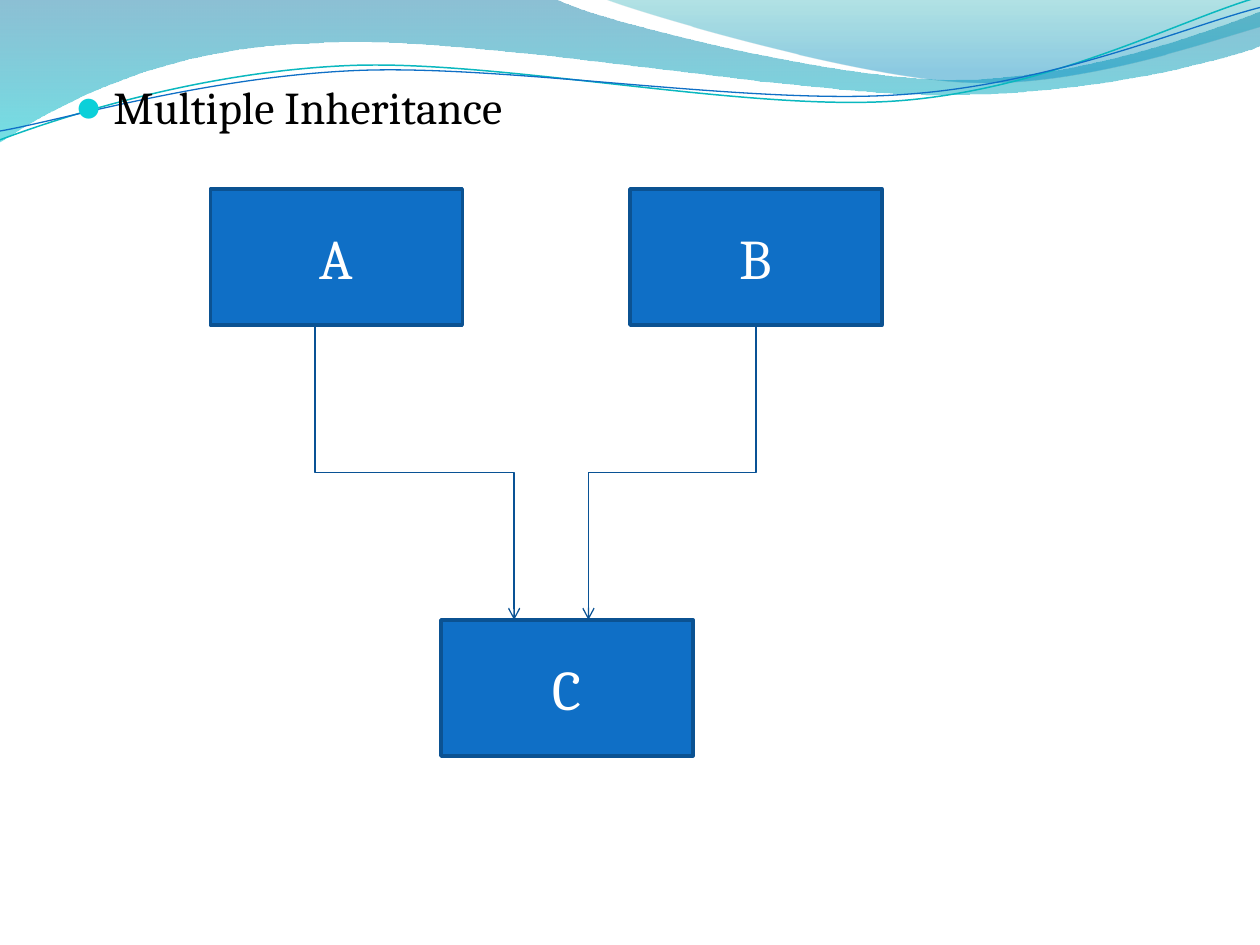
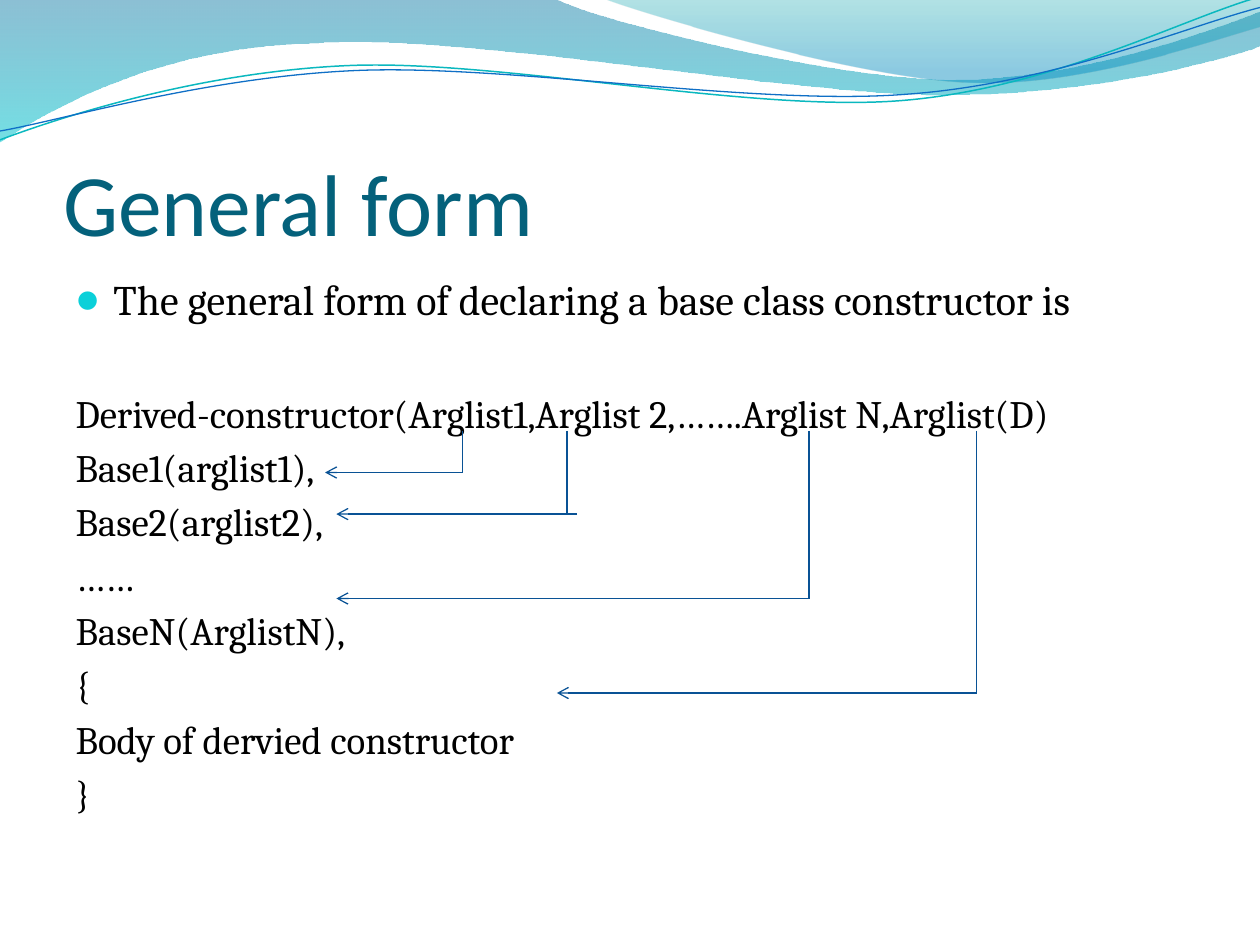
from math import cos, radians, sin

from lxml import etree
from pptx import Presentation
from pptx.dml.color import RGBColor
from pptx.enum.shapes import MSO_CONNECTOR, MSO_SHAPE
from pptx.enum.text import MSO_ANCHOR, MSO_AUTO_SIZE, PP_ALIGN
from pptx.oxml.ns import qn
from pptx.util import Inches, Pt

STRAIGHT, ELBOW = MSO_CONNECTOR.STRAIGHT, MSO_CONNECTOR.ELBOW
RECTANGLE = MSO_SHAPE.RECTANGLE
MIDDLE, BOTTOM = MSO_ANCHOR.MIDDLE, MSO_ANCHOR.BOTTOM
LEFT, CENTER = PP_ALIGN.LEFT, PP_ALIGN.CENTER
NO_AUTOFIT = MSO_AUTO_SIZE.NONE

COLORS = {
    "text": "000000", "title": "04617B", "bullet": "0BD0D9", "white": "FFFFFF",
    "box": "0F6FC6", "box_edge": "0B5292", "arrow": "095295",
    "teal_line": "0AB8BF", "blue_line": "0F6FC6",
    "deep_blue": "0074A1", "cyan": "00C6CF", "teal": "00A1A9", "sky": "008BBF",
}
TITLE_FONT, BODY_FONT = "Calibri", "Cambria"
BOX_W, BOX_H = 2, 1.08
INDENT = 0.3
STEM_TOP = 3.42
CURVE_TILT = 2.7

# Outlines in inches: a pair is a straight segment, six numbers a Bezier curve.
LEFT_WAVE = [
    (0, 0), (4.4, -0.01),
    (4.76, 0.17, 6.64, 0.63, 7.58, 0.63), (8.53, 0.63, 9.58, 0.26, 10, 0.09),
    (10.01, 0.36),
    (9.83, 0.44, 8.7, 0.76, 7.46, 0.75), (6.22, 0.75, 3.82, 0.28, 2.57, 0.34),
    (1.29, 0.36, 0.46, 0.83, -0.01, 1.13), (0, 0),
]
RIGHT_WAVE = [
    (4.79, -0.01),
    (5.09, 0.11, 6.82, 0.62, 7.69, 0.65), (8.56, 0.69, 9.61, 0.32, 10, 0.21),
    (10, 0), (4.79, -0.01),
]
TEAL_CURVE = [
    (0, 1.11),
    (0.48, 0.93, 1.58, 0.57, 2.77, 0.52), (3.95, 0.47, 5.93, 0.89, 7.13, 0.8),
    (8.33, 0.71, 9.38, 0.15, 9.98, -0.02),
]
BLUE_CURVE = [
    (0, 1.04),
    (0.47, 0.96, 1.64, 0.61, 2.83, 0.56), (4.03, 0.51, 5.97, 0.84, 7.17, 0.75),
    (8.36, 0.67, 9.41, 0.21, 10, 0.06),
]

CONSTRUCTOR_LINES = [
    "Derived-constructor(Arglist1,Arglist 2,…….Arglist N,Arglist(D)",
    "Base1(arglist1),",
    "Base2(arglist2),",
    "……",
    "BaseN(ArglistN),",
    "{",
    "Body of dervied constructor",
    "}",
]
# Stem x, arrow start x, arrow tip x, arrow y
ARGUMENT_POINTERS = [
    (3.67, 3.67, 2.58, 3.75),
    (4.5, 4.58, 2.67, 4.08),
    (6.42, 6.42, 2.67, 4.75),
    (7.75, 7.75, 4.42, 5.5),
]


def rgb(name):
    return RGBColor.from_string(COLORS[name])


def apply_format(target, **values):
    for attribute, value in values.items():
        setattr(target, attribute, value)


def place(shape, left, top, width, height):
    apply_format(shape, left=Inches(left), top=Inches(top),
                 width=Inches(width), height=Inches(height))


def add_run(paragraph, text, size, color, font=BODY_FONT):
    run = paragraph.add_run()
    run.text = text
    apply_format(run.font, name=font, size=Pt(size), bold=False)
    run.font.color.rgb = rgb(color)


def turn_segment(segment, pivot, degrees):
    """Turn every point of a segment clockwise about the pivot."""
    angle = radians(degrees)
    turned = []
    for x, y in zip(segment[::2], segment[1::2]):
        dx, dy = x - pivot[0], y - pivot[1]
        turned += [pivot[0] + dx * cos(angle) - dy * sin(angle),
                   pivot[1] + dx * sin(angle) + dy * cos(angle)]
    return turned


def add_outline(slide, segments, close):
    """Lay all points as straight segments, then join triples into Beziers."""
    start, *rest = segments
    points = [(Inches(x), Inches(y)) for segment in rest
              for x, y in zip(segment[::2], segment[1::2])]
    builder = slide.shapes.build_freeform(*map(Inches, start))
    builder.add_line_segments(points, close=close)
    outline = builder.convert_to_shape()
    outline.shadow.inherit = False
    steps = iter(list(outline._element.iter(qn("a:lnTo"))))
    for segment in rest:
        first = next(steps)
        if len(segment) == 6:
            first.tag = qn("a:cubicBezTo")
            for step in (next(steps), next(steps)):
                first.append(step[0])
                step.getparent().remove(step)
    return outline


def add_wave(slide, segments, stops):
    """stops: (position, colour, opacity percent), top to bottom."""
    wave = add_outline(slide, segments, close=True)
    wave.line.fill.background()
    wave.fill.gradient()
    wave.fill.gradient_angle = 270
    for gradient_stop, (position, color, _) in zip(wave.fill.gradient_stops, stops):
        gradient_stop.position = position
        gradient_stop.color.rgb = rgb(color)
    stop_colors = list(wave._element.spPr.iter(qn("a:srgbClr")))
    for stop_color, (_, _, opacity) in zip(stop_colors, stops):
        etree.SubElement(stop_color, qn("a:alpha"), val=str(opacity * 1000))
    return wave


def add_curve(slide, segments, pivot, color, width):
    level = [turn_segment(segment, pivot, CURVE_TILT) for segment in segments]
    curve = add_outline(slide, level, close=False)
    curve.rotation = 360 - CURVE_TILT
    curve.fill.background()
    curve.line.color.rgb = rgb(color)
    curve.line.width = Pt(width)
    return curve


def decorate_master(master, slide):
    """Draw the band on a slide, then move it behind the master's placeholders."""
    band = [
        add_wave(slide, LEFT_WAVE, [(0, "deep_blue", 45), (1, "cyan", 55)]),
        add_wave(slide, RIGHT_WAVE, [(0, "teal", 30), (0.8, "sky", 45)]),
        add_curve(slide, TEAL_CURVE, (4.99, 0.58), "teal_line", 0.85),
        add_curve(slide, BLUE_CURVE, (5, 0.59), "blue_line", 0.75),
    ]
    first_placeholder = master.shapes[0]._element
    for part in band:
        first_placeholder.addprevious(part._element)


def set_title(slide, text):
    title = slide.shapes.title
    place(title, 0.5, 0.77, 9, 1.25)
    frame = title.text_frame
    apply_format(frame, margin_left=0, margin_right=0, margin_top=Inches(0.05),
                 margin_bottom=0, vertical_anchor=BOTTOM, auto_size=NO_AUTOFIT)
    frame.paragraphs[0].alignment = LEFT
    add_run(frame.paragraphs[0], text, 50, "title", TITLE_FONT)


def set_indent(paragraph, bulleted):
    properties = paragraph._p.get_or_add_pPr()
    properties.set("marL", str(Inches(INDENT)))
    properties.set("indent", str(-Inches(INDENT)))
    if not bulleted:
        etree.SubElement(properties, qn("a:buNone"))
        return
    bullet_color = etree.SubElement(properties, qn("a:buClr"))
    etree.SubElement(bullet_color, qn("a:srgbClr"), val=COLORS["bullet"])
    etree.SubElement(properties, qn("a:buSzPct"), val="95000")
    etree.SubElement(properties, qn("a:buFont"), typeface=TITLE_FONT)
    etree.SubElement(properties, qn("a:buChar"), char="●")


def set_body(slide, top, height, heading, size, lines=()):
    """Fill the body with one bulleted heading and plain lines below it."""
    body = slide.placeholders[1]
    place(body, 0.5, top, 9, height)
    frame = body.text_frame
    frame.auto_size = NO_AUTOFIT
    set_indent(frame.paragraphs[0], bulleted=True)
    frame.paragraphs[0].space_before = Pt(0)
    add_run(frame.paragraphs[0], heading, size, "text")
    for index, line in enumerate(lines):
        paragraph = frame.add_paragraph()
        set_indent(paragraph, bulleted=False)
        paragraph.space_before = Pt(4.4 if index else 37.5)
        add_run(paragraph, line, 22.2, "text")


def add_class_box(slide, label, left, top):
    box = slide.shapes.add_shape(RECTANGLE, Inches(left), Inches(top),
                                 Inches(BOX_W), Inches(BOX_H))
    box.shadow.inherit = False
    box.fill.solid()
    box.fill.fore_color.rgb = rgb("box")
    box.line.color.rgb = rgb("box_edge")
    box.line.width = Pt(2)
    box.text_frame.vertical_anchor = MIDDLE
    paragraph = box.text_frame.paragraphs[0]
    paragraph.alignment = CENTER
    add_run(paragraph, label, 32, "white")


def add_line(slide, kind, start, end, arrow=True):
    line = slide.shapes.add_connector(kind, *map(Inches, start + end))
    line.line.color.rgb = rgb("arrow")
    line.line.width = Pt(0.75)
    if arrow:
        etree.SubElement(line.line._get_or_add_ln(), qn("a:tailEnd"), type="arrow")
    etree.SubElement(line._element.spPr, qn("a:effectLst"))
    return line


def add_inheritance_arrow(slide, start, end):
    """Elbow that leaves downwards: a sideways elbow turned about its centre."""
    (x1, y1), (x2, y2) = start, end
    center_x, center_y = (x1 + x2) / 2, (y1 + y2) / 2
    half_drop, half_shift = (y2 - y1) / 2, abs(x2 - x1) / 2
    side, turn = (-1, 270) if x2 > x1 else (1, 90)
    elbow = add_line(slide, ELBOW,
                     (center_x - side * half_drop, center_y - half_shift),
                     (center_x + side * half_drop, center_y + half_shift))
    elbow._element.spPr.find(qn("a:xfrm")).set("rot", str(turn * 60000))


def build_inheritance_slide(slide):
    title = slide.shapes.title._element
    title.getparent().remove(title)
    set_body(slide, 0.58, 6.33, "Multiple Inheritance", 26)
    base_top, derived_top = 1.5, 4.92
    add_class_box(slide, "A", 1.67, base_top)
    add_class_box(slide, "B", 5, base_top)
    for start_x, end_x in ((2.5, 4.08), (6, 4.67)):
        add_inheritance_arrow(slide, (start_x, base_top + BOX_H), (end_x, derived_top))
    add_class_box(slide, "C", 3.5, derived_top)


def build_general_form_slide(slide):
    set_title(slide, "General form")
    set_body(slide, 2.12, 4.8, "The general form of declaring a base class constructor is",
             24, CONSTRUCTOR_LINES)
    for stem_x, start_x, tip_x, y in ARGUMENT_POINTERS:
        add_line(slide, STRAIGHT, (stem_x, STEM_TOP), (stem_x, y), arrow=False)
        add_line(slide, STRAIGHT, (start_x, y), (tip_x, y))


def main():
    deck = Presentation()
    apply_format(deck, slide_width=Inches(10), slide_height=Inches(7.5))
    layout = deck.slide_layouts[1]
    inheritance = deck.slides.add_slide(layout)
    decorate_master(deck.slide_master, inheritance)
    build_inheritance_slide(inheritance)
    build_general_form_slide(deck.slides.add_slide(layout))
    deck.save("out.pptx")


if __name__ == "__main__":
    main()
